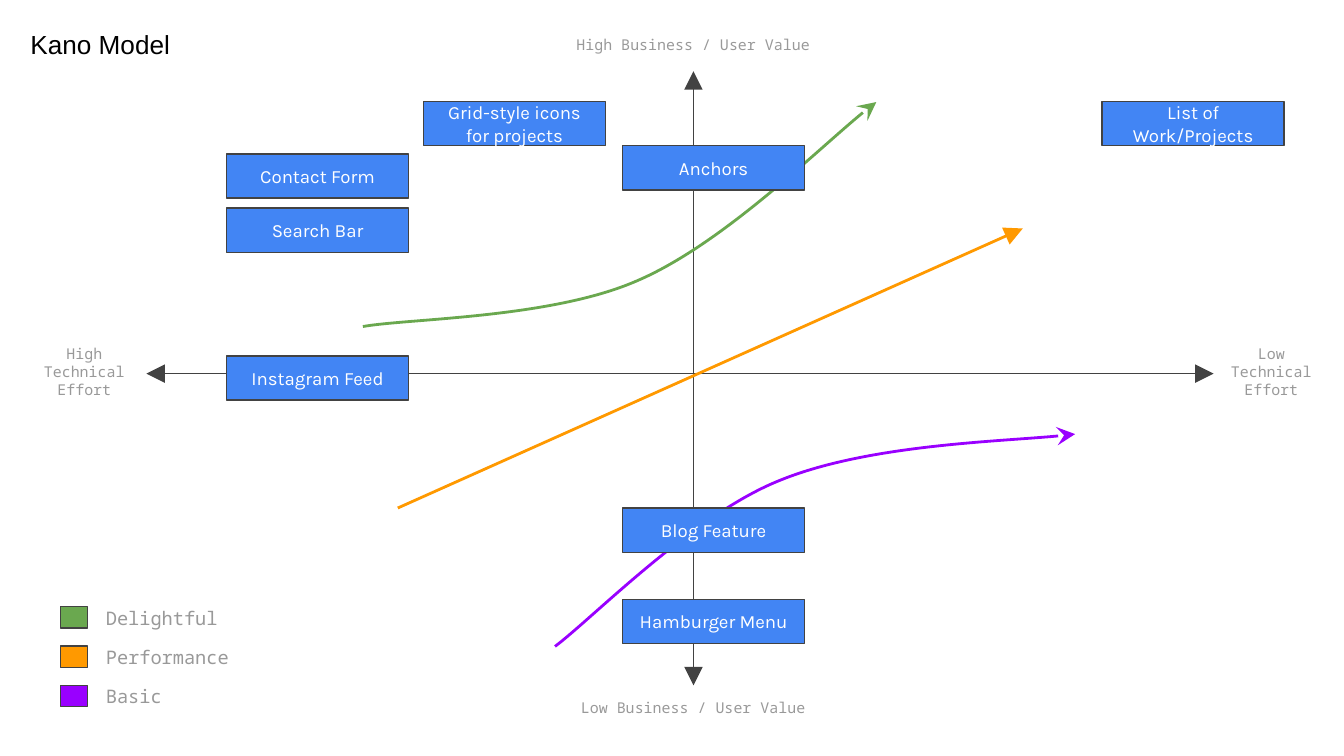
from lxml.etree import SubElement
from pptx import Presentation
from pptx.dml.color import RGBColor
from pptx.enum.shapes import MSO_CONNECTOR, MSO_SHAPE
from pptx.enum.text import MSO_ANCHOR, PP_ALIGN
from pptx.oxml.ns import qn
from pptx.util import Inches, Pt

COLS, ROWS = 100, 56.25  # square cells of a tenth of an inch
INK, GREY, WHITE, BLUE = "424242", "999999", "FFFFFF", "4285F4"
GREEN, ORANGE, PURPLE = "6AA84F", "FF9900", "9900FF"
MONO = "Noto Sans Mono"


def rgb(value):
    return RGBColor.from_string(value)


def cells(*values):
    """Grid cells as EMU."""
    return [Inches(v / 10) for v in values]


def write(sp, text, size=8, font=MONO, color=GREY,
          align=PP_ALIGN.CENTER, anchor=MSO_ANCHOR.MIDDLE):
    tf = sp.text_frame
    tf.word_wrap = True
    tf.vertical_anchor = anchor
    tf.margin_left = tf.margin_right = tf.margin_top = tf.margin_bottom = Inches(0.1)
    p = tf.paragraphs[0]
    p.alignment = align
    r = p.add_run()
    r.text = text
    r.font.size = Pt(size)
    r.font.name = font
    r.font.color.rgb = rgb(color)


class Board:
    """Holds the line style and the slide being drawn."""

    thin, thick = 0.75, 1.5

    def __init__(self, prs):
        self.s = prs.slides.add_slide(prs.slide_layouts[6])

    def stroke(self, sp, color, width, **ends):
        """Set the line; ends maps headEnd and tailEnd to arrow types."""
        sp.line.color.rgb = rgb(color)
        sp.line.width = Pt(width)
        ln = sp._element.spPr.find(qn("a:ln"))
        for end, kind in ends.items():
            SubElement(ln, qn(f"a:{end}"), type=kind, w="lg", len="lg")

    def arrow(self, start, stop, color, width, **ends):
        sp = self.s.shapes.add_connector(
            MSO_CONNECTOR.STRAIGHT, *cells(*start, *stop))
        self.stroke(sp, color, width, **ends)
        SubElement(sp._element.spPr, qn("a:effectLst"))

    def curve(self, points, color):
        """Draw cubic Béziers: a start, then two controls and an end for each."""
        start, *rest = [cells(*pt) for pt in points]
        builder = self.s.shapes.build_freeform(*start)
        builder.add_line_segments(rest, close=False)
        sp = builder.convert_to_shape()
        lines = sp._element.xpath(".//a:lnTo")
        outline = lines[0].getparent()
        for i in range(0, len(lines), 3):
            bezier = SubElement(outline, qn("a:cubicBezTo"))
            for line in lines[i:i + 3]:
                bezier.append(line[0])
                outline.remove(line)
        sp.fill.background()
        sp.shadow.inherit = False
        self.stroke(sp, color, self.thick, tailEnd="stealth")

    def box(self, x, y, w, h, color):
        sp = self.s.shapes.add_shape(MSO_SHAPE.RECTANGLE, *cells(x, y, w, h))
        sp.fill.solid()
        sp.fill.fore_color.rgb = rgb(color)
        sp.shadow.inherit = False
        self.stroke(sp, INK, self.thin)
        return sp

    def feature(self, x, y, text):
        write(self.box(x, y, 13.55, 3.3, BLUE), text, 10, "Karla", WHITE)

    def label(self, x, y, w, h, text, **style):
        write(self.s.shapes.add_textbox(*cells(x, y, w, h)), text, **style)


def main():
    prs = Presentation()
    prs.slide_width, prs.slide_height = cells(COLS, ROWS)
    board = Board(prs)

    both = dict(headEnd="triangle", tailEnd="triangle")
    board.arrow((51.6, 5.3), (51.6, 51), INK, board.thin, **both)
    board.arrow((90.3, 27.8), (10.9, 27.8), INK, board.thin, **both)

    board.curve([(27, 24.3), (30.4, 23.7), (41, 23.7), (47.4, 20.9),
                 (53.7, 18.2), (62.2, 9.8), (65.2, 7.6)], GREEN)
    board.curve([(41.3, 48.1), (44.1, 46), (51.5, 38.4), (57.9, 35.8),
                 (64.4, 33.1), (76.3, 32.8), (80, 32.3)], PURPLE)
    board.arrow((29.6, 37.8), (76.1, 17), ORANGE, board.thick, tailEnd="triangle")

    left_top = dict(align=PP_ALIGN.LEFT, anchor=MSO_ANCHOR.TOP)
    legend = [("Delightful", GREEN), ("Performance", ORANGE), ("Basic", PURPLE)]
    for i, (name, color) in enumerate(legend):
        y = 45.15 + 2.92 * i
        board.box(4.5, y, 2, 1.6, color)
        board.label(6.9, y - 0.85, 19.6, 3.6, name, size=10, **left_top)

    for y, level in [(2, "High"), (51.35, "Low")]:
        board.label(41.8, y, 19.6, 3.6, f"{level} Business / User Value",
                    anchor=MSO_ANCHOR.TOP)
    for x, w, level in [(1.13, 10.3, "High"), (90.3, 8.6, "Low")]:
        board.label(x, 25.85, w, 3.6, f"{level} Technical Effort")

    board.label(1.28, 1.1, 15.6, 3.1, "Kano Model",
                size=14, font="Arial", color="000000", **left_top)

    left, middle = 16.85, 46.32
    for x, y, text in [
        (left, 11.45, "Contact Form"),
        (left, 15.48, "Search Bar"),
        (left, 26.48, "Instagram Feed"),
        (31.5, 7.55, "Grid-style icons for projects"),
        (middle, 10.85, "Anchors"),
        (middle, 37.8, "Blog Feature"),
        (middle, 44.6, "Hamburger Menu"),
        (82, 7.55, "List of Work/Projects"),
    ]:
        board.feature(x, y, text)

    prs.save("out.pptx")


if __name__ == "__main__":
    main()
